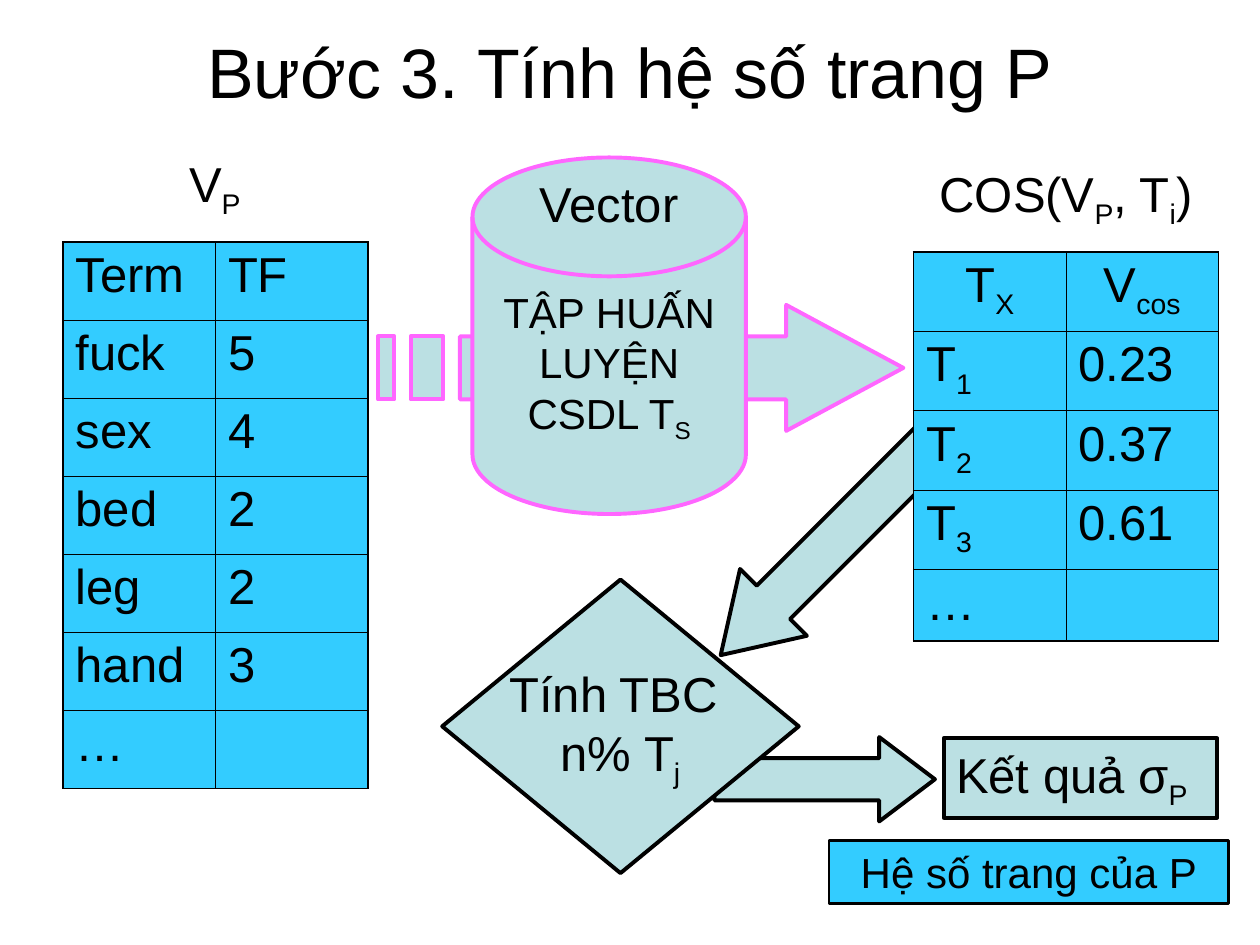
from dataclasses import dataclass
from typing import Optional

from lxml.etree import SubElement
from pptx import Presentation
from pptx.dml.color import RGBColor
from pptx.enum.shapes import MSO_SHAPE as Preset
from pptx.enum.text import MSO_ANCHOR as Anchor, MSO_AUTO_SIZE as AutoSize, PP_ALIGN as Align
from pptx.oxml.ns import qn
from pptx.util import Emu, Pt

EMU_PER_PX = 9144
BLACK, PALE, CYAN, PINK = "000000", "BBE0E3", "33CCFF", "FF66FF"


@dataclass
class Box:
    left: int
    top: int
    width: int
    height: int

    def emu(self) -> list:
        return [px(value) for value in (self.left, self.top, self.width, self.height)]


@dataclass
class Text:
    lines: list
    size: int = 28
    align: Align = Align.CENTER
    before: float = 0
    anchor: Anchor = Anchor.TOP
    wrap: bool = True
    grow: bool = False


@dataclass
class Block:
    preset: Preset
    box: Box
    fill: str = PALE
    line: str = BLACK
    line_width: float = 2.25
    adjustments: tuple = ()
    rotation: int = 0
    text: Optional[Text] = None


@dataclass
class Grid:
    box: Box
    row_heights: list
    rows: list
    header_align: Align = Align.LEFT


def px(value: int) -> Emu:
    return Emu(value * EMU_PER_PX)


def color(value: str) -> RGBColor:
    return RGBColor.from_string(value)


def write(text_frame, text: Text) -> None:
    text_frame.word_wrap = text.wrap
    text_frame.vertical_anchor = text.anchor
    text_frame.auto_size = AutoSize.SHAPE_TO_FIT_TEXT if text.grow else AutoSize.NONE
    fill_paragraphs(text_frame, text)


def fill_paragraphs(text_frame, text: Text) -> None:
    for number, line in enumerate(text.lines):
        paragraph = text_frame.add_paragraph() if number else text_frame.paragraphs[0]
        paragraph.alignment = text.align
        paragraph.space_before = Pt(text.before)
        for part, words in enumerate(line.split("|")):
            run = paragraph.add_run()
            run.text = words
            run.font.size = Pt(text.size)
            run.font.name = "Arial"
            run.font.color.rgb = color(BLACK)
            if part % 2:
                run.font._element.set("baseline", "-25000")


def paint(shape, fill: str, line: str, line_width: float) -> None:
    shape.shadow.inherit = False
    shape.fill.solid()
    shape.fill.fore_color.rgb = color(fill)
    shape.line.color.rgb = color(line)
    shape.line.width = Pt(line_width)


def draw_block(slide, block: Block) -> None:
    shape = slide.shapes.add_shape(block.preset, *block.box.emu())
    paint(shape, block.fill, block.line, block.line_width)
    shape.rotation = block.rotation
    for number, value in enumerate(block.adjustments):
        shape.adjustments[number] = value
    if block.text:
        write(shape.text_frame, block.text)


def draw_label(slide, box: Box, text: Text) -> None:
    write(slide.shapes.add_textbox(*box.emu()).text_frame, text)


def draw_striped_arrow(slide) -> None:
    head = [(365, 267), (624, 267), (624, 242), (717, 292), (624, 342), (624, 317), (365, 317)]
    stripes = [[(left, 267), (right, 267), (right, 317), (left, 317)]
               for left, right in ((300, 313), (326, 352))]
    builder = slide.shapes.build_freeform(*head[0], scale=EMU_PER_PX)
    builder.add_line_segments(head[1:], close=True)
    for stripe in stripes:
        builder.move_to(*stripe[0])
        builder.add_line_segments(stripe[1:], close=True)
    paint(builder.convert_to_shape(), PALE, PINK, 2.25)


def draw_border(cell, side: str, outer: bool) -> None:
    width = Pt(1.08 if outer else 0.45)
    line = SubElement(cell._tc.get_or_add_tcPr(), qn(f"a:ln{side}"), w=str(width))
    SubElement(SubElement(line, qn("a:solidFill")), qn("a:srgbClr"), val=BLACK)


def draw_grid(slide, grid: Grid) -> None:
    last_row, last_column = len(grid.rows) - 1, len(grid.rows[0]) - 1
    table = slide.shapes.add_table(last_row + 1, last_column + 1, *grid.box.emu()).table
    for column in table.columns:
        column.width = px(grid.box.width // (last_column + 1))
    for row, values in enumerate(grid.rows):
        table.rows[row].height = px(grid.row_heights[row])
        for column, value in enumerate(values):
            cell = table.cell(row, column)
            draw_border(cell, "L", column == 0)
            draw_border(cell, "R", column == last_column)
            draw_border(cell, "T", row == 0)
            draw_border(cell, "B", row == last_row)
            cell.fill.solid()
            cell.fill.fore_color.rgb = color(CYAN)
            if value:
                align = Align.LEFT if row else grid.header_align
                fill_paragraphs(cell.text_frame, Text([value], align=align, before=7))


def main() -> None:
    presentation = Presentation()
    presentation.slide_width, presentation.slide_height = px(1000), px(750)
    slide = presentation.slides.add_slide(presentation.slide_layouts[6])

    draw_block(slide, Block(Preset.LEFT_ARROW, Box(537, 398, 239, 75),
                            adjustments=(0.5, 0.79), rotation=315))
    draw_block(slide, Block(Preset.RIGHT_ARROW, Box(567, 585, 175, 67),
                            adjustments=(0.5, 0.66)))
    draw_label(slide, Box(50, 17, 900, 78),
               Text(["Bước 3. Tính hệ số trang P"], size=40, anchor=Anchor.MIDDLE))

    draw_grid(slide, Grid(Box(50, 192, 242, 434), [62] * 7, [
        ("Term", "TF"), ("fuck", "5"), ("sex", "4"), ("bed", "2"),
        ("leg", "2"), ("hand", "3"), ("…", "")]))
    draw_grid(slide, Grid(Box(725, 200, 242, 309), [63] * 4 + [57], [
        ("T|X", "V|cos"), ("T|1", "0.23"), ("T|2", "0.37"), ("T|3", "0.61"),
        ("…", "")], Align.CENTER))

    draw_label(slide, Box(108, 117, 125, 63), Text(["V|P"], before=17.5, grow=True))
    draw_label(slide, Box(725, 125, 242, 63),
               Text(["COS(V|P|, T|i|)"], before=17.5, grow=True))
    draw_striped_arrow(slide)

    draw_block(slide, Block(Preset.RECTANGLE, Box(749, 586, 217, 63), text=Text(
        ["Kết quả σ|P"], align=Align.LEFT, before=17.5, grow=True)))
    draw_block(slide, Block(Preset.FLOWCHART_DECISION, Box(351, 460, 283, 233), text=Text(
        ["Tính TBC ", "n% T|j"], anchor=Anchor.MIDDLE, wrap=False)))
    draw_block(slide, Block(
        Preset.FLOWCHART_MAGNETIC_DISK, Box(375, 125, 217, 283), line=PINK, text=Text(
            ["TẬP HUẤN", "LUYỆN", "CSDL T|S"], size=24, anchor=Anchor.MIDDLE, wrap=False)))
    draw_label(slide, Box(417, 133, 133, 57), Text(["Vector"], before=17.5, grow=True))
    draw_block(slide, Block(
        Preset.RECTANGLE, Box(658, 667, 317, 50), fill=CYAN, line_width=1.5,
        text=Text(["Hệ số trang của P"], size=24, before=15, grow=True)))

    presentation.save("out.pptx")


if __name__ == "__main__":
    main()
